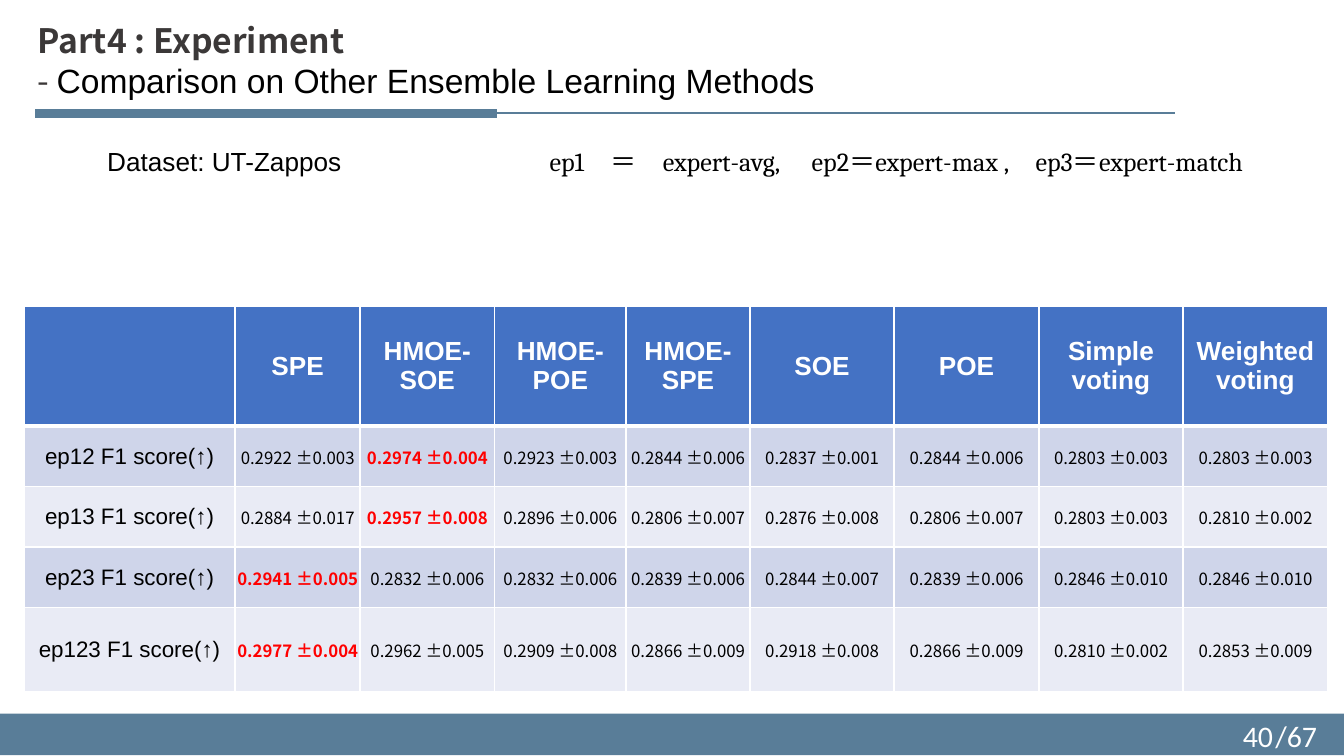
from dataclasses import dataclass

from lxml.etree import SubElement
from pptx import Presentation
from pptx.dml.color import RGBColor
from pptx.enum.shapes import MSO_CONNECTOR, MSO_SHAPE
from pptx.enum.text import MSO_ANCHOR, PP_ALIGN
from pptx.oxml.ns import qn
from pptx.util import Inches, Pt


@dataclass(frozen=True)
class Theme:
    accent: str = "597D98"
    heading: str = "3B3838"
    black: str = "000000"
    white: str = "FFFFFF"
    best: str = "FF0000"
    header: str = "4472C4"
    bands: tuple = ("CFD5EA", "E9EBF5")
    title_size: int = 18
    page_size: int = 16
    body_size: int = 14
    label_size: int = 12
    value_size: int = 9
    sans: str = "Arial"
    serif: str = "Cambria"
    title_font: str = "Noto Sans CJK SC"
    value_font: str = "Noto Sans CJK JP"
    page_font: str = "Calibri"


THEME = Theme()


def add_span(para, text, font=THEME.sans, east_asian=None, size=THEME.body_size,
             color=THEME.black, bold=False):
    span = para.add_run()
    span.text = text
    span.font.name = font
    span.font.size = Pt(size)
    span.font.bold = bold
    span.font.color.rgb = RGBColor.from_string(color)
    SubElement(span.font._element, qn("a:ea"), typeface=east_asian or font)


class SlideBuilder:
    def __init__(self, page, theme):
        self.page = page
        self.theme = theme

    def bar(self, left, top, width, height, outline=None):
        shape = self.page.shapes.add_shape(
            MSO_SHAPE.RECTANGLE, Inches(left), Inches(top), Inches(width), Inches(height))
        shape.shadow.inherit = False
        accent = RGBColor.from_string(self.theme.accent)
        shape.fill.solid()
        shape.fill.fore_color.rgb = accent
        if outline:
            shape.line.color.rgb = accent
            shape.line.width = Pt(outline)
            SubElement(shape._element.spPr.find(qn("a:ln")), qn("a:miter"), lim="800000")
        else:
            shape.line.fill.background()

    def rule(self, start, end, top, width):
        line = self.page.shapes.add_connector(
            MSO_CONNECTOR.STRAIGHT, Inches(start), Inches(top), Inches(end), Inches(top))
        line.line.color.rgb = RGBColor.from_string(self.theme.accent)
        line.line.width = Pt(width)
        SubElement(line._element.spPr, qn("a:effectLst"))

    def text(self, left, top, width, height, spans, align=PP_ALIGN.LEFT,
             anchor=MSO_ANCHOR.TOP, wrap=True):
        """Add a text box; each span is (text, format), and None breaks the line."""
        box = self.page.shapes.add_textbox(
            Inches(left), Inches(top), Inches(width), Inches(height))
        frame = box.text_frame
        frame.word_wrap = wrap
        frame.vertical_anchor = anchor
        para = frame.paragraphs[0]
        para.alignment = align
        for span in spans:
            if span is None:
                para.add_line_break()
            else:
                add_span(para, span[0], **span[1])

    def border(self, cell, bottom):
        properties = cell._tc.get_or_add_tcPr()
        for side, width in (("L", 1), ("R", 1), ("T", 1), ("B", bottom)):
            line = SubElement(properties, qn(f"a:ln{side}"), w=str(Pt(width)))
            fill = SubElement(line, qn("a:solidFill"))
            SubElement(fill, qn("a:srgbClr"), val=self.theme.white)

    def cell(self, cell, text, fill, bottom=1, tight=False, **style):
        self.border(cell, bottom)
        cell.fill.solid()
        cell.fill.fore_color.rgb = RGBColor.from_string(fill)
        cell.vertical_anchor = MSO_ANCHOR.MIDDLE
        if tight:
            cell.margin_left = cell.margin_right = cell.margin_top = Inches(0.01)
            cell.margin_bottom = 0
        para = cell.text_frame.paragraphs[0]
        para.alignment = PP_ALIGN.CENTER
        if text:
            add_span(para, text, **style)

    def score_table(self, left, top, widths, heights, methods, scores):
        theme = self.theme
        table = self.page.shapes.add_table(
            len(heights), len(widths), Inches(left), Inches(top),
            Inches(sum(widths)), Inches(sum(heights))).table
        for column, width in zip(table.columns, widths):
            column.width = Inches(width)
        for row, height in zip(table.rows, heights):
            row.height = Inches(height)

        for index, method in enumerate(["", *methods]):
            self.cell(table.cell(0, index), method, theme.header, bottom=3,
                      color=theme.white, bold=True)

        # The highest score of each row is marked
        for number, (label, values) in enumerate(scores.items(), start=1):
            fill = theme.bands[(number - 1) % 2]
            self.cell(table.cell(number, 0), f"{label} F1 score(↑)", fill,
                      size=theme.label_size)
            for index, value in enumerate(values, start=1):
                best = value == max(values)
                self.cell(table.cell(number, index), value, fill, tight=True,
                          font=theme.value_font, size=theme.value_size, bold=best,
                          color=theme.best if best else theme.black)


METHODS = ["SPE", "HMOE-SOE", "HMOE-POE", "HMOE-SPE", "SOE", "POE",
           "Simple voting", "Weighted voting"]
SCORES = {
    "ep12": ["0.2922 ±0.003", "0.2974 ±0.004", "0.2923 ±0.003", "0.2844 ±0.006",
             "0.2837 ±0.001", "0.2844 ±0.006", "0.2803 ±0.003", "0.2803 ±0.003"],
    "ep13": ["0.2884 ±0.017", "0.2957 ±0.008", "0.2896 ±0.006", "0.2806 ±0.007",
             "0.2876 ±0.008", "0.2806 ±0.007", "0.2803 ±0.003", "0.2810 ±0.002"],
    "ep23": ["0.2941 ±0.005", "0.2832 ±0.006", "0.2832 ±0.006", "0.2839 ±0.006",
             "0.2844 ±0.007", "0.2839 ±0.006", "0.2846 ±0.010", "0.2846 ±0.010"],
    "ep123": ["0.2977 ±0.004", "0.2962 ±0.005", "0.2909 ±0.008", "0.2866 ±0.009",
              "0.2918 ±0.008", "0.2866 ±0.009", "0.2810 ±0.002", "0.2853 ±0.009"],
}


def main():
    # Widescreen page, 16 to 9
    deck = Presentation()
    deck.slide_width, deck.slide_height = Inches(10), Inches(10 * 9 / 16)
    page = deck.slides.add_slide(deck.slide_layouts[6])
    builder = SlideBuilder(page, THEME)

    # Footer band and heading rule
    builder.bar(0, 5.31, 10, 0.31)
    builder.rule(8.74, 0.27, 0.84, 0.75)
    builder.bar(0.27, 0.82, 3.42, 0.05, outline=1)

    # Heading
    heading = dict(font=THEME.title_font, size=THEME.title_size, color=THEME.heading)
    builder.text(0.18, 0.1, 6.08, 0.71, [
        ("Part4 : Experiment", dict(heading, bold=True)),
        None,
        ("- ", heading),
        ("Comparison on Other Ensemble Learning Methods", dict(size=THEME.title_size)),
    ], wrap=False)

    # Data set and expert names
    builder.text(0.24, 1.03, 2.86, 0.34, [("Dataset: UT-Zappos", {})],
                 align=PP_ALIGN.CENTER)
    builder.text(3.99, 1.03, 5.68, 0.34, [
        ("ep1　＝　expert-avg, 　ep2＝expert-max ,　ep3＝expert-match",
         dict(font=THEME.serif, east_asian=THEME.title_font))])

    # Scores: the last four columns share what the first five leave
    widths = [1.57, 0.93, 1, 0.98, 0.92]
    widths += [(9.7 - sum(widths)) / 4] * 4
    builder.score_table(0.18, 2.28, widths, [0.89] + [0.45] * 3 + [0.63],
                        METHODS, SCORES)

    # Page number
    number = dict(font=THEME.page_font, size=THEME.page_size, color=THEME.white)
    builder.text(9.31, 5.32, 0.67, 0.3, [("/67", number)],
                 align=PP_ALIGN.CENTER, anchor=MSO_ANCHOR.MIDDLE)
    builder.text(7.32, 5.32, 2.25, 0.3, [("40", number)],
                 align=PP_ALIGN.RIGHT, anchor=MSO_ANCHOR.MIDDLE)

    deck.save("out.pptx")


if __name__ == "__main__":
    main()
